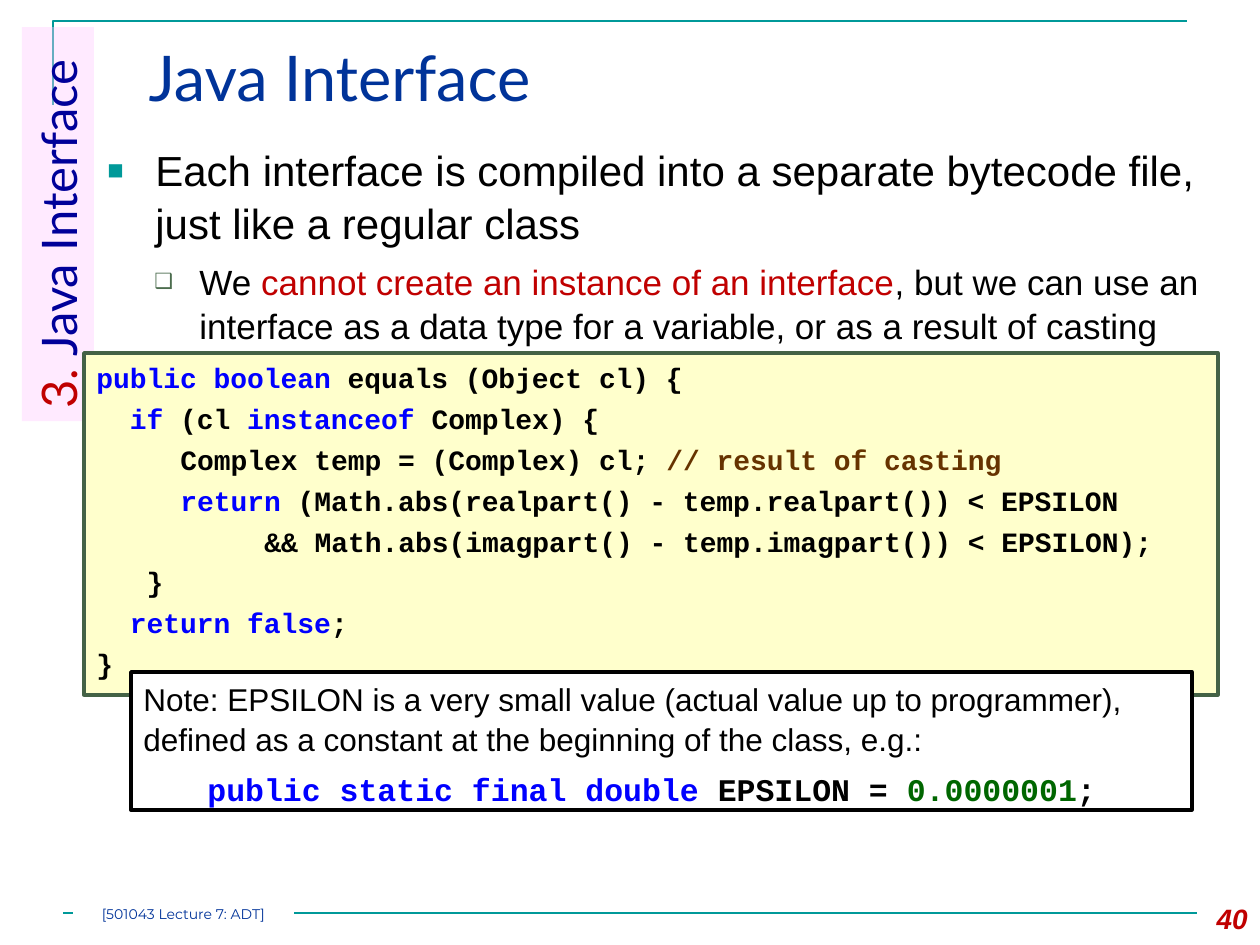
from lxml import etree
from pptx import Presentation
from pptx.dml.color import RGBColor
from pptx.enum import shapes, text
from pptx.oxml.ns import qn
from pptx.util import Pt

SCALE = 914400 / 126  # EMU in one px
TEAL, NAVY, RED, BLUE, BLACK, WHITE = (
    "009999", "003399", "C00000", "0000FF", "000000", "FFFFFF")
MONO = "Courier New"
CHAR = 9.6  # width in points of one 16 pt code letter

# A run is (words, colour).
TITLE = [("Java Interface", NAVY)]
SIDE = [("3. ", RED), ("Java Interface", "000099")]
PAGE = [("40", RED)]
FOOT = [("[501043 Lecture 7: ADT]", NAVY)]

# Points: runs, then format and bullet (mark, colour, percent of text size)
POINTS = [
    ([("Each interface is compiled into a separate bytecode file, "
       "just like a regular class", BLACK)],
     dict(size=24, left=48, hang=48), ("■", TEAL, 65)),
    ([("We ", BLACK), ("cannot create an instance of an interface", RED),
      (", but we can use an interface as a data type for a variable, "
       "or as a result of casting", BLACK)],
     dict(size=20, left=92, hang=45, level=1), ("❑", "4C6D4E", 60)),
]

# Code lines: indent in letters, runs
CODE = [
    (0, [("public boolean ", BLUE), ("equals (Object cl) {", BLACK)]),
    (2, [("if", BLUE), (" (cl ", BLACK), ("instanceof", BLUE),
         (" Complex) {", BLACK)]),
    (5, [("Complex temp = (Complex) cl; ", BLACK),
         ("// result of casting", "663300")]),
    (5, [("return", BLUE),
         (" (Math.abs(realpart() - temp.realpart()) < EPSILON", BLACK)]),
    (10, [("&& Math.abs(imagpart() - temp.imagpart()) < EPSILON);", BLACK)]),
    (3, [("}", BLACK)]),
    (2, [("return false", BLUE), (";", BLACK)]),
    (0, [("}", BLACK)]),
]

NOTE = [("Note: EPSILON is a very small value (actual value up to programmer), "
         "defined as a constant at the beginning of the class, e.g.:", BLACK)]
VALUE = [("public static final double ", BLUE), ("EPSILON = ", BLACK),
         ("0.0000001", "006600"), (";", BLACK)]


def px(n):
    return round(n * SCALE)


def paint(hue):
    return RGBColor.from_string(hue)


def write(shape, runs, size=18, font="Arial", bold=False, italic=False,
          align="LEFT", left=0, hang=0, before=0, after=0, level=0, lead=None):
    """Add one paragraph to the shape; left and hang are in px."""
    frame = shape.text_frame
    para = frame.paragraphs[0]
    if para.runs:
        para = frame.add_paragraph()
    para.alignment = getattr(text.PP_ALIGN, align)
    para.level = level
    para.space_before, para.space_after = Pt(before), Pt(after)
    if lead:
        para.line_spacing = lead
    props = para._p.get_or_add_pPr()
    props.set("marL", str(px(left)))
    props.set("indent", str(px(-hang)))
    for words, hue in runs:
        run = para.add_run()
        run.text = words
        face = run.font
        face.size, face.name = Pt(size), font
        face.bold, face.italic = bold, italic
        face.color.rgb = paint(hue)
    return para


def mark(para, sign, hue, size):
    """Give the paragraph a bullet."""
    props = para._p.get_or_add_pPr()
    tint = etree.SubElement(props, qn("a:buClr"))
    etree.SubElement(tint, qn("a:srgbClr"), val=hue)
    etree.SubElement(props, qn("a:buSzPct"), val=str(size * 1000))
    etree.SubElement(props, qn("a:buFont"), typeface="Arial")
    etree.SubElement(props, qn("a:buChar"), char=sign)


def setup(shape, anchor="TOP"):
    frame = shape.text_frame
    frame.word_wrap = True
    frame.auto_size = text.MSO_AUTO_SIZE.NONE
    frame.vertical_anchor = getattr(text.MSO_ANCHOR, anchor)
    return shape


def label(*area):
    return setup(slide.shapes.add_textbox(*map(px, area)))


def box(*area, fill, line=None, anchor="TOP"):
    shape = slide.shapes.add_shape(
        shapes.MSO_SHAPE.RECTANGLE, *map(px, area))
    shape.shadow.inherit = False
    shape.fill.solid()
    shape.fill.fore_color.rgb = paint(fill)
    if line:
        shape.line.color.rgb = paint(line)
        shape.line.width = Pt(2)
    else:
        shape.line.fill.background()
    return setup(shape, anchor)


deck = Presentation()
deck.slide_width, deck.slide_height = px(1260), px(945)
slide = deck.slides.add_slide(deck.slide_layouts[5])

# Rules at the top and the bottom
pen = slide.shapes.build_freeform(53, 105, scale=SCALE)
pen.add_line_segments([(53, 21), (1187, 21)], close=False)
frame = pen.convert_to_shape()
frame.shadow.inherit = False
frame.fill.background()
rule = slide.shapes.add_connector(
    shapes.MSO_CONNECTOR.STRAIGHT, px(63), px(913), px(1197), px(913))
etree.SubElement(rule._element.spPr, qn("a:effectLst"))
for edge in (frame, rule):
    edge.line.color.rgb = paint(TEAL)
    edge.line.width = Pt(1.5)

title = slide.shapes.title
title.left, title.top, title.width, title.height = map(px, (136, 32, 1092, 108))
write(setup(title), TITLE, size=36, font="Lato")

write(label(1176, 895, 84, 50), PAGE, size=16, bold=True, italic=True,
      align="RIGHT")

side = box(-139, 188, 394, 72, fill="FFCCFF")
side.rotation = 270
tint = side._element.spPr.find(".//" + qn("a:srgbClr"))
etree.SubElement(tint, qn("a:alpha"), val="40000")
write(side, SIDE, size=28, font="Lato")

body = label(95, 136, 1124, 217)
for runs, style, bullet in POINTS:
    mark(write(body, runs, before=6, lead=1.05, **style), *bullet)

code = box(84, 353, 1134, 342, fill="FFFFCC", line="446246")
for depth, runs in CODE:
    write(code, runs, size=16, font=MONO, bold=True, before=3.2, lead=1.05,
          left=depth * CHAR * 126 / 72)

note = box(131, 672, 1061, 138, fill=WHITE, line=BLACK)
write(note, NOTE, after=6, lead=1.05)
write(note, VALUE, font=MONO, bold=True, left=64, lead=1.05)

foot = box(73, 903, 221, 21, fill=WHITE, anchor="MIDDLE")
inner = foot.text_frame
inner.margin_left = inner.margin_right = 0
inner.margin_top = inner.margin_bottom = 0
write(foot, FOOT, size=8, font="Montserrat", align="CENTER")

deck.save("out.pptx")
